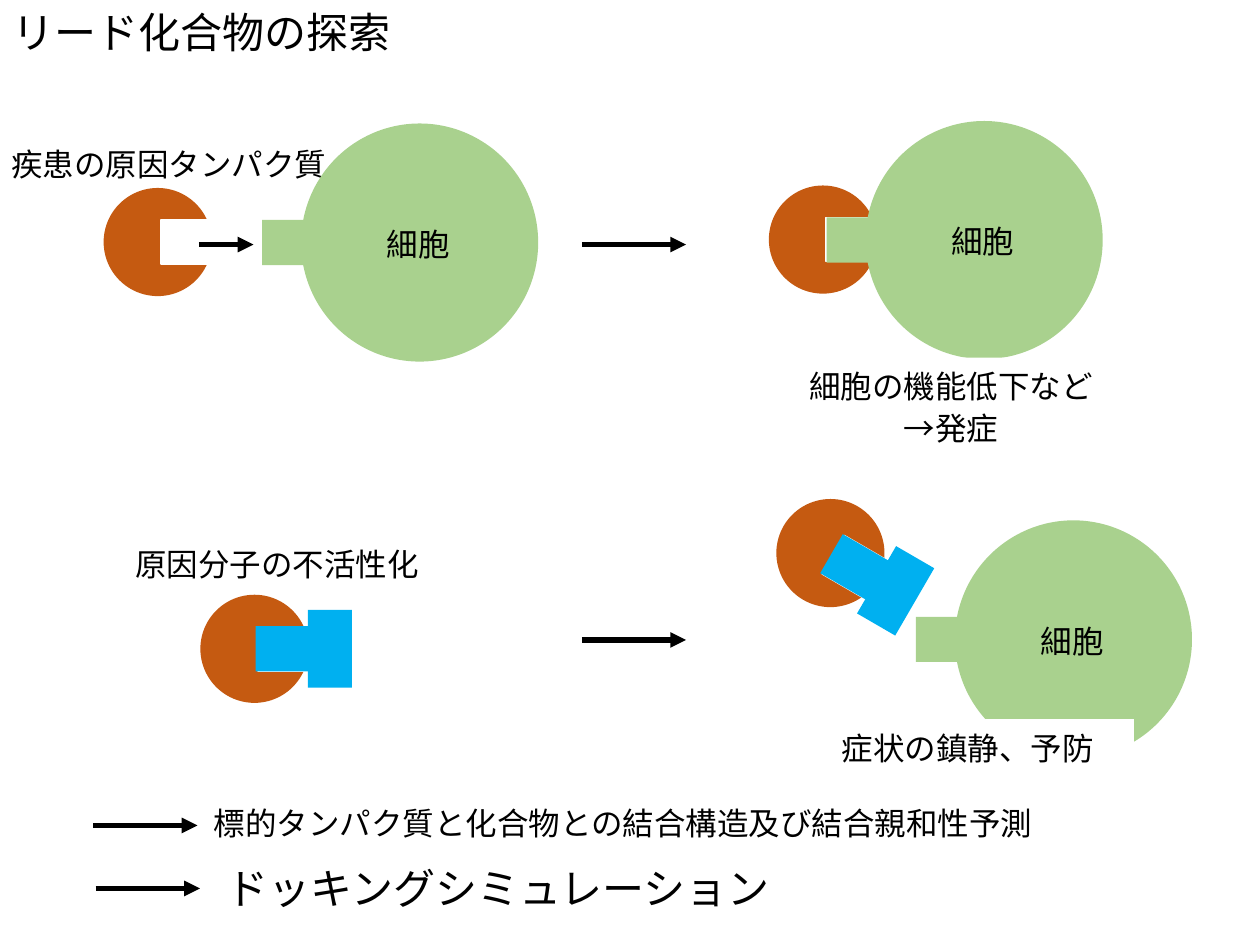
import math

import lxml.etree
import pptx
import pptx.dml.color
import pptx.enum.shapes
import pptx.enum.text
import pptx.oxml.ns
import pptx.util

Cm = pptx.util.Cm
Pt = pptx.util.Pt
RGB = pptx.dml.color.RGBColor
qn = pptx.oxml.ns.qn
SHAPE = pptx.enum.shapes.MSO_SHAPE
ALIGN = pptx.enum.text.PP_ALIGN

BLACK = RGB(0x00, 0x00, 0x00)
WHITE = RGB(0xFF, 0xFF, 0xFF)
BROWN = RGB(0xC5, 0x5A, 0x11)
GREEN = RGB(0xA9, 0xD1, 0x8E)
BLUE = RGB(0x00, 0xB0, 0xF0)
FONT = "Noto Sans CJK JP"


def write(frame, text, size, align, wrap, pitch=None):
    """Fill a text frame, one paragraph per line of text."""
    frame.text = text
    frame.word_wrap = wrap
    frame.auto_size = pptx.enum.text.MSO_AUTO_SIZE.NONE
    frame.vertical_anchor = pptx.enum.text.MSO_ANCHOR.TOP
    for para in frame.paragraphs:
        para.alignment = align
        para.line_spacing = pitch or 1.0
        para.space_before = Pt(0)
        para.font.size = Pt(size)
        para.font.name = FONT
        para.font.color.rgb = BLACK
        props = para._p.pPr.find(qn("a:defRPr"))
        lxml.etree.SubElement(props, qn("a:ea"), typeface=FONT)


def add_title(slide, text):
    title = slide.shapes.title
    title.left, title.top = Cm(0), Cm(0)
    title.width, title.height = Cm(8.2), Cm(1.27)
    write(title.text_frame, text, 24, ALIGN.LEFT, False)


def add_label(slide, text, left, top, width, height=1.12, fill=None):
    box = slide.shapes.add_textbox(Cm(left), Cm(top), Cm(width), Cm(height))
    if fill is not None:
        box.fill.solid()
        box.fill.fore_color.rgb = fill
    write(box.text_frame, text, 18, ALIGN.CENTER, True, Pt(23.6))


def add_note(slide, text, left, top, width, height, size):
    box = slide.shapes.add_textbox(Cm(left), Cm(top), Cm(width), Cm(height))
    write(box.text_frame, text, size, ALIGN.LEFT, False)


def add_part(slide, kind, hub, shift, width, height, color, angle=0):
    """Place a part whose centre lies shift to the right of hub, turned about hub."""
    turn = math.radians(angle)
    x = hub[0] + shift * math.cos(turn)
    y = hub[1] + shift * math.sin(turn)
    part = slide.shapes.add_shape(
        kind, Cm(x - width / 2), Cm(y - height / 2), Cm(width), Cm(height))
    part.rotation = angle
    part.shadow.inherit = False
    part.fill.solid()
    part.fill.fore_color.rgb = color
    part.line.fill.background()
    return part


def add_protein(slide, hub, angle=0):
    add_part(slide, SHAPE.OVAL, hub, 0, 2.18, 2.18, BROWN, angle)
    notch = add_part(slide, SHAPE.RECTANGLE, hub, 0.84, 1.55, 0.89, WHITE, angle)
    notch.line.color.rgb = WHITE
    notch.line.width = Pt(1)


def add_drug(slide, hub, angle=0):
    """Add a T-shaped compound that fills the notch of the protein at hub."""
    add_part(slide, SHAPE.RECTANGLE, hub, 0.8, 1.55, 0.91, BLUE, angle)
    add_part(slide, SHAPE.RECTANGLE, hub, 1.52, 0.89, 1.57, BLUE, angle)


def add_cell(slide, hub):
    add_part(slide, SHAPE.OVAL, hub, 0, 4.78, 4.8, GREEN)
    add_part(slide, SHAPE.RECTANGLE, hub, -2.4, 1.55, 0.91, GREEN)
    add_label(slide, "細胞", hub[0] - 2.73, hub[1] - 0.55, 5.41)


def add_arrow(slide, left, y, length=2.1):
    arrow = slide.shapes.add_connector(
        pptx.enum.shapes.MSO_CONNECTOR.STRAIGHT,
        Cm(left), Cm(y), Cm(left + length), Cm(y))
    arrow.line.color.rgb = BLACK
    arrow.line.width = Pt(3)
    props = arrow._element.spPr
    lxml.etree.SubElement(props.find(qn("a:ln")), qn("a:tailEnd"), type="triangle")
    lxml.etree.SubElement(props, qn("a:effectLst"))


def main():
    deck = pptx.Presentation()
    deck.slide_width, deck.slide_height = Cm(25.4), Cm(19.05)
    slide = deck.slides.add_slide(deck.slide_layouts[5])
    add_title(slide, "リード化合物の探索")

    # Onset: the protein binds to the cell
    add_label(slide, "疾患の原因タンパク質", -0.38, 2.72, 7.57, fill=WHITE)
    add_protein(slide, (3.18, 4.88))
    add_cell(slide, (8.46, 4.89))
    add_arrow(slide, 4.01, 4.93, 1.1)
    add_arrow(slide, 11.73, 4.93)
    add_protein(slide, (16.59, 4.83))
    add_cell(slide, (19.84, 4.84))
    add_label(slide, "細胞の機能低下など\n→発症", 15.82, 7.21, 6.71, 1.96, WHITE)

    # Treatment: the compound blocks the protein
    free, bound = (5.13, 13.08), (16.74, 11.15)
    add_protein(slide, free)
    add_drug(slide, free)
    add_label(slide, "原因分子の不活性化", 1.52, 10.8, 8.13, fill=WHITE)
    add_arrow(slide, 11.73, 12.9)
    add_cell(slide, (21.64, 12.89))
    add_protein(slide, bound, 30.1)
    add_drug(slide, bound, 30.1)
    add_label(slide, "症状の鎮静、予防", 16.15, 14.5, 6.71, fill=WHITE)

    # Method
    add_arrow(slide, 1.88, 16.64)
    add_note(slide, "標的タンパク質と化合物との結合構造及び結合親和性予測",
             4.06, 16.08, 17.2, 1.02, 18)
    add_arrow(slide, 1.93, 17.91)
    add_note(slide, "ドッキングシミュレーション", 4.32, 17.27, 11.63, 1.27, 24)

    deck.save("out.pptx")


if __name__ == "__main__":
    main()
